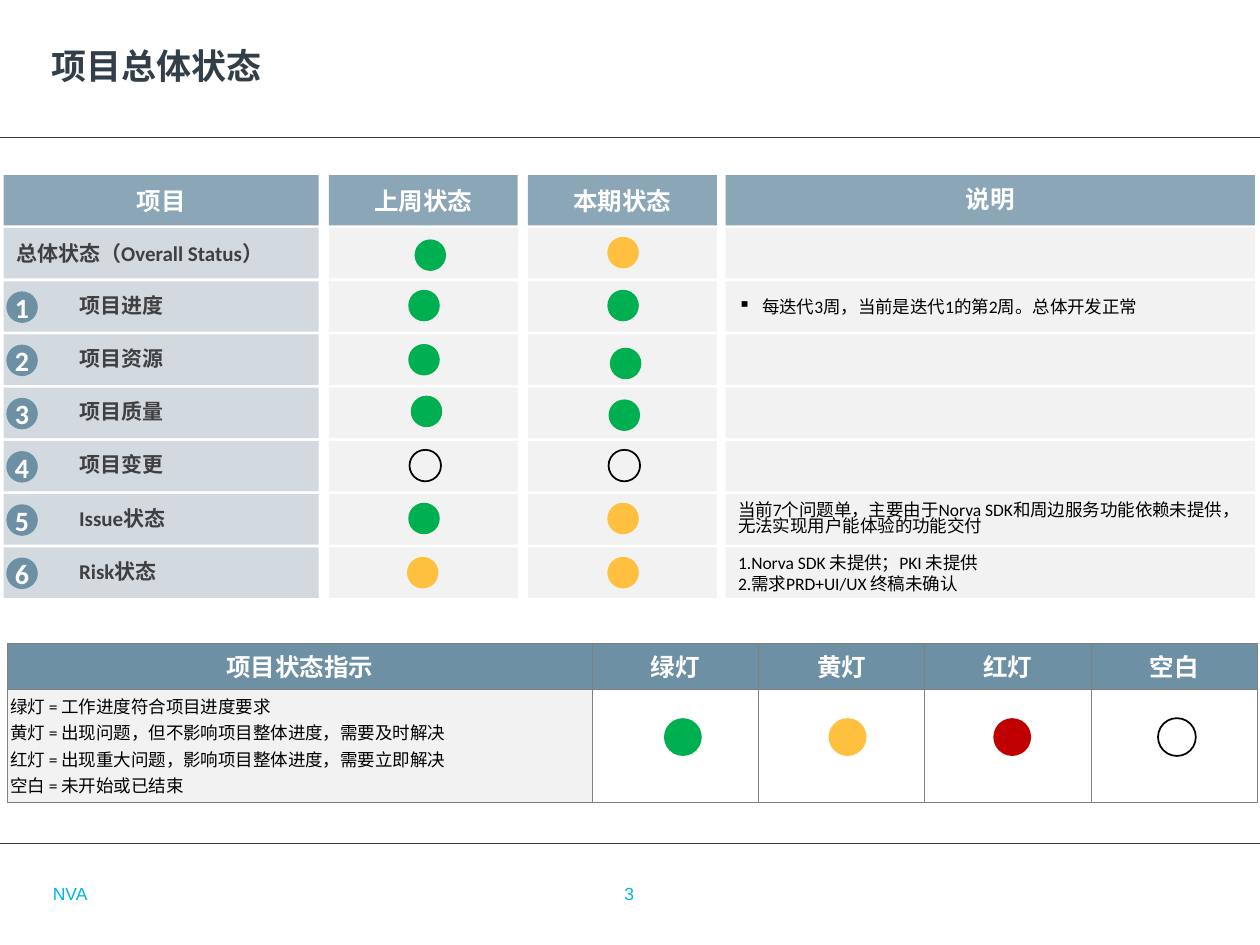
"""Build the overall project status slide with a status grid and a legend table."""
from dataclasses import dataclass
from typing import NamedTuple

from lxml.etree import SubElement
from pptx import Presentation
from pptx.dml.color import RGBColor
from pptx.enum.shapes import MSO_CONNECTOR, MSO_SHAPE
from pptx.enum.text import MSO_ANCHOR, PP_ALIGN
from pptx.oxml.ns import qn
from pptx.util import Inches, Pt


@dataclass(frozen=True)
class Theme:
    heading: str = "6D90A5"
    label: str = "D2D9DF"
    cell: str = "F2F2F2"
    title: str = "333F48"
    label_text: str = "404040"
    footer: str = "00B5E2"
    border: str = "808080"
    white: str = "FFFFFF"
    black: str = "000000"
    green: str = "00B050"
    yellow: str = "FFBF3F"
    red: str = "C00000"
    body_font: str = "Calibri"
    title_font: str = "Arial"
    title_size: int = 20
    number_size: int = 16
    heading_size: int = 14
    label_size: int = 12
    body_size: int = 10


THEME = Theme()


class Style(NamedTuple):
    size: int
    color: str
    bold: bool = False
    font: str = THEME.body_font
    align: PP_ALIGN = PP_ALIGN.LEFT
    line_spacing: float = 1.0
    space_before: float = 0
    indent: float = 0
    bullet: str = ""


class Box(NamedTuple):
    left: float
    top: float
    width: float
    height: float


class Light(NamedTuple):
    left: float
    top: float
    color: str | None


class StatusRow(NamedTuple):
    label: str
    last_week: Light
    this_week: Light
    notes: tuple[str, ...] = ()
    note_style: Style = Style(THEME.body_size, THEME.black)


class Column(NamedTuple):
    heading: str
    left: float
    width: float


HEADING = Style(THEME.heading_size, THEME.white, True, align=PP_ALIGN.CENTER)
SPACED_HEADING = HEADING._replace(line_spacing=0.9, space_before=2.8)
OVERALL = Style(THEME.label_size, THEME.label_text, True)
LABEL = OVERALL._replace(line_spacing=0.9, space_before=2.4, indent=0.5)
NUMBER = Style(THEME.number_size, THEME.white, True, align=PP_ALIGN.CENTER)
NOTE = Style(THEME.body_size, THEME.black)
LEGEND = NOTE._replace(line_spacing=0.9, space_before=2)
TITLE = Style(THEME.title_size, THEME.title, True, THEME.title_font)
FOOTER = Style(THEME.body_size, THEME.footer, font=THEME.title_font)

ROW_TOP, ROW_PITCH, ROW_HEIGHT = 1.81, 0.42, 0.4
HEADING_TOP = 1.39
LIGHT_SIZE, LEGEND_LIGHT_SIZE = 0.25, 0.3
COLUMNS = (
    Column("项目", 0.03, 2.5),
    Column("上周状态", 2.61, 1.5),
    Column("本期状态", 4.19, 1.5),
    Column("说明", 5.76, 4.2),
)
ROWS = (
    StatusRow("总体状态（Overall Status）", Light(3.29, 1.9, THEME.green), Light(4.82, 1.88, THEME.yellow)),
    StatusRow("项目进度", Light(3.24, 2.3, THEME.green), Light(4.82, 2.3, THEME.green),
              ("每迭代3周，当前是迭代1的第2周。总体开发正常",), NOTE._replace(indent=0.19, bullet="▪")),
    StatusRow("项目资源", Light(3.24, 2.73, THEME.green), Light(4.84, 2.76, THEME.green)),
    StatusRow("项目质量", Light(3.26, 3.14, THEME.green), Light(4.83, 3.17, THEME.green)),
    StatusRow("项目变更", Light(3.25, 3.57, None), Light(4.83, 3.57, None)),
    StatusRow("Issue状态", Light(3.24, 3.99, THEME.green), Light(4.82, 3.99, THEME.yellow),
              ("当前7个问题单，主要由于Norva SDK和周边服务功能依赖未提供，无法实现用户能体验的功能交付",),
              NOTE._replace(line_spacing=0.8)),
    StatusRow("Risk状态", Light(3.23, 4.42, THEME.yellow), Light(4.82, 4.42, THEME.yellow),
              ("1.Norva SDK 未提供；PKI 未提供", "2.需求PRD+UI/UX 终稿未确认")),
)
LEGEND_HEADINGS = ("项目状态指示", "绿灯", "黄灯", "红灯", "空白")
LEGEND_LINES = (
    "绿灯 = 工作进度符合项目进度要求",
    "黄灯 = 出现问题，但不影响项目整体进度，需要及时解决",
    "红灯 = 出现重大问题，影响项目整体进度，需要立即解决",
    "空白 = 未开始或已结束",
)


def write_text(frame, lines: tuple[str, ...], style: Style) -> None:
    for index, line in enumerate(lines):
        paragraph = frame.add_paragraph() if index else frame.paragraphs[0]
        paragraph.alignment = style.align
        paragraph.line_spacing = style.line_spacing
        paragraph.space_before = Pt(style.space_before)
        properties = paragraph._p.get_or_add_pPr()
        if style.indent:
            properties.set("marL", str(Inches(style.indent)))
        if style.bullet:
            properties.set("indent", str(-Inches(style.indent)))
            SubElement(properties, qn("a:buChar")).set("char", style.bullet)
        run = paragraph.add_run()
        run.text = line
        run.font.size = Pt(style.size)
        run.font.bold = style.bold
        run.font.name = style.font
        run.font.color.rgb = RGBColor.from_string(style.color)


def set_insets(target, left: float, top: float, right: float, bottom: float) -> None:
    target.margin_left, target.margin_top = Inches(left), Inches(top)
    target.margin_right, target.margin_bottom = Inches(right), Inches(bottom)


def add_label(slide, box: Box, text: str, style: Style) -> None:
    frame = slide.shapes.add_textbox(*map(Inches, box)).text_frame
    frame.word_wrap = True
    frame.vertical_anchor = MSO_ANCHOR.MIDDLE
    set_insets(frame, 0, 0, 0, 0)
    write_text(frame, (text,), style)


def add_block(slide, kind: MSO_SHAPE, box: Box, fill: str | None, lines: tuple[str, ...] = (), style: Style = NOTE):
    shape = slide.shapes.add_shape(kind, *map(Inches, box))
    shape.shadow.inherit = False
    shape.line.fill.background()
    if fill:
        shape.fill.solid()
        shape.fill.fore_color.rgb = RGBColor.from_string(fill)
    else:
        shape.fill.background()
    if kind == MSO_SHAPE.ROUNDED_RECTANGLE:
        shape.adjustments[0] = 0
    shape.text_frame.vertical_anchor = MSO_ANCHOR.MIDDLE
    write_text(shape.text_frame, lines, style)
    return shape


def add_light(slide, light: Light, size: float) -> None:
    shape = add_block(slide, MSO_SHAPE.OVAL, Box(light.left, light.top, size, size), light.color)
    if light.color is None:
        shape.line.color.rgb = RGBColor.from_string(THEME.black)
        shape.line.width = Pt(1)


def add_rule(slide, top: float) -> None:
    rule = slide.shapes.add_connector(MSO_CONNECTOR.STRAIGHT, 0, Inches(top), Inches(10), Inches(top))
    rule.line.color.rgb = RGBColor.from_string(THEME.title)
    rule.line.width = Pt(0.25)
    SubElement(rule._element.spPr, qn("a:effectLst"))


def add_status_grid(slide) -> None:
    for column in COLUMNS:
        style = SPACED_HEADING if column is COLUMNS[-1] else HEADING
        box = Box(column.left, HEADING_TOP, column.width, ROW_HEIGHT)
        shape = add_block(slide, MSO_SHAPE.RECTANGLE, box, THEME.heading, (column.heading,), style)
        color = shape._element.spPr.find(qn("a:solidFill"))[0]
        SubElement(color, qn("a:alpha")).set("val", "80000")
    for index, row in enumerate(ROWS):
        top = ROW_TOP + index * (ROW_PITCH + 0.0025)
        label_style = LABEL if index else OVERALL
        contents = ((row.label,), (), (), row.notes)
        styles = (label_style, NOTE, NOTE, row.note_style)
        for column, lines, style in zip(COLUMNS, contents, styles):
            fill = THEME.label if column is COLUMNS[0] else THEME.cell
            box = Box(column.left, top, column.width, ROW_HEIGHT)
            add_block(slide, MSO_SHAPE.ROUNDED_RECTANGLE, box, fill, lines, style)
        for light in (row.last_week, row.this_week):
            add_light(slide, light, LIGHT_SIZE)
        if index:
            box = Box(0.05, top + 0.08, LIGHT_SIZE, LIGHT_SIZE)
            badge = add_block(slide, MSO_SHAPE.OVAL, box, THEME.heading, (str(index),), NUMBER)
            badge.text_frame.word_wrap = False
            set_insets(badge.text_frame, 0.05, 0.04, 0.05, 0.04)


def style_cell(cell, fill: str) -> None:
    cell.vertical_anchor = MSO_ANCHOR.MIDDLE
    properties = cell._tc.get_or_add_tcPr()
    for side in ("a:lnL", "a:lnR", "a:lnT", "a:lnB"):
        line = SubElement(properties, qn(side), w=str(Pt(0.5)))
        SubElement(SubElement(line, qn("a:solidFill")), qn("a:srgbClr"), val=THEME.border)
    cell.fill.solid()
    cell.fill.fore_color.rgb = RGBColor.from_string(fill)


def add_legend(slide) -> None:
    box = Box(0.06, 5.11, 9.92, 1.26)
    table = slide.shapes.add_table(2, len(LEGEND_HEADINGS), *map(Inches, box)).table
    for row, height in zip(table.rows, (0.36, 0.9)):
        row.height = Inches(height)
    for index, heading in enumerate(LEGEND_HEADINGS):
        table.columns[index].width = Inches(1.32 if index else 4.64)
        style_cell(table.cell(0, index), THEME.heading)
        write_text(table.cell(0, index).text_frame, (heading,), SPACED_HEADING)
        style_cell(table.cell(1, index), THEME.white if index else THEME.cell)
    set_insets(table.cell(0, 0), 0.01, 0.05, 0.01, 0.05)
    set_insets(table.cell(1, 0), 0.02, 0.05, 0.1, 0.05)
    write_text(table.cell(1, 0).text_frame, LEGEND_LINES, LEGEND)
    for index, color in enumerate((THEME.green, THEME.yellow, THEME.red, None)):
        add_light(slide, Light(5.27 + index * 1.307, 5.7, color), LEGEND_LIGHT_SIZE)


def main() -> None:
    presentation = Presentation()
    presentation.slide_width, presentation.slide_height = Inches(10), Inches(7.5)
    slide = presentation.slides.add_slide(presentation.slide_layouts[6])
    for top in (1.09, 6.69):
        add_rule(slide, top)
    add_label(slide, Box(0.41, 0.21, 8, 0.62), "项目总体状态", TITLE)
    add_label(slide, Box(0.42, 6.94, 3.07, 0.31), "NVA", FOOTER)
    add_label(slide, Box(3.83, 6.94, 2.33, 0.31), "3", FOOTER._replace(align=PP_ALIGN.CENTER))
    add_status_grid(slide)
    add_legend(slide)
    presentation.save("out.pptx")


if __name__ == "__main__":
    main()
